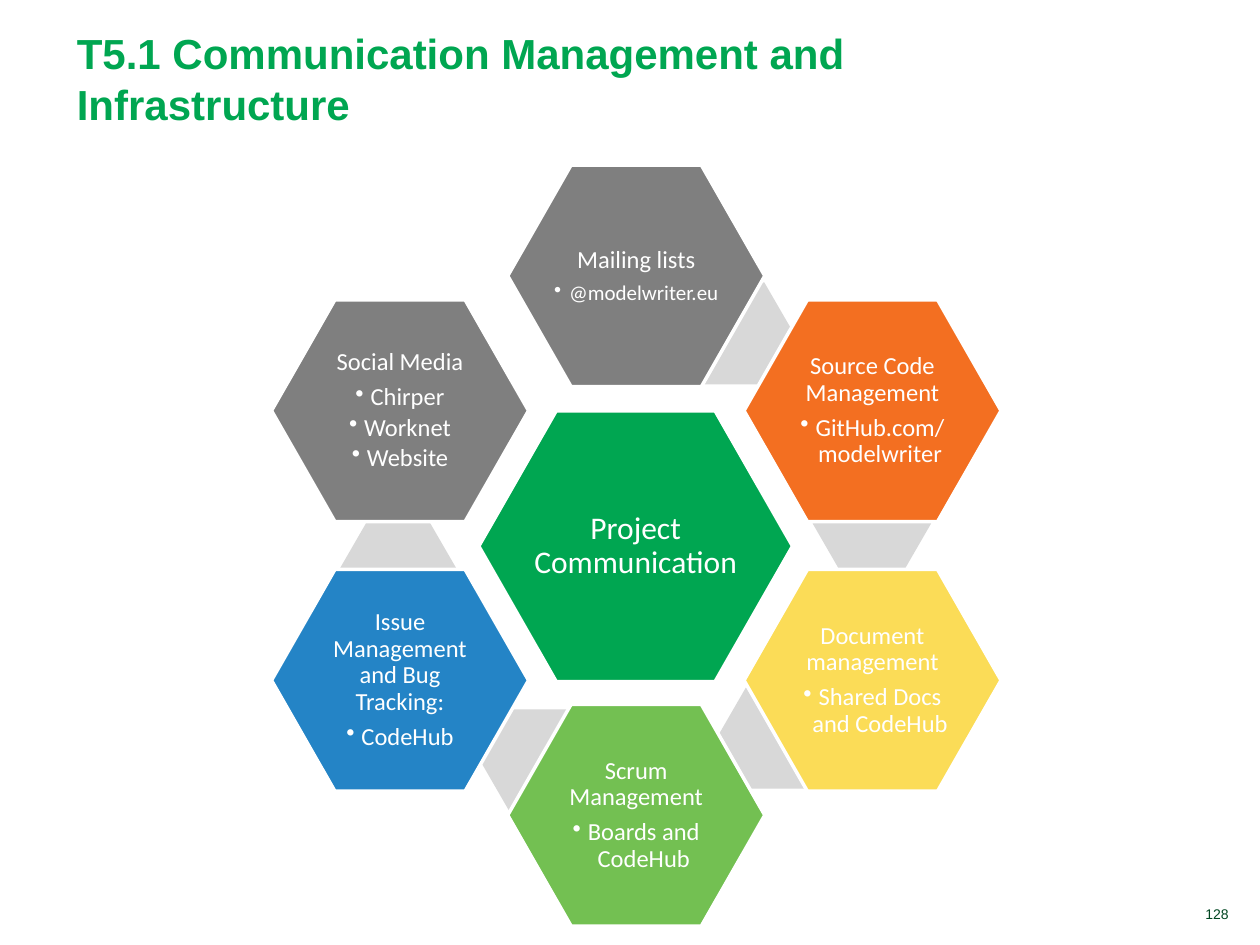
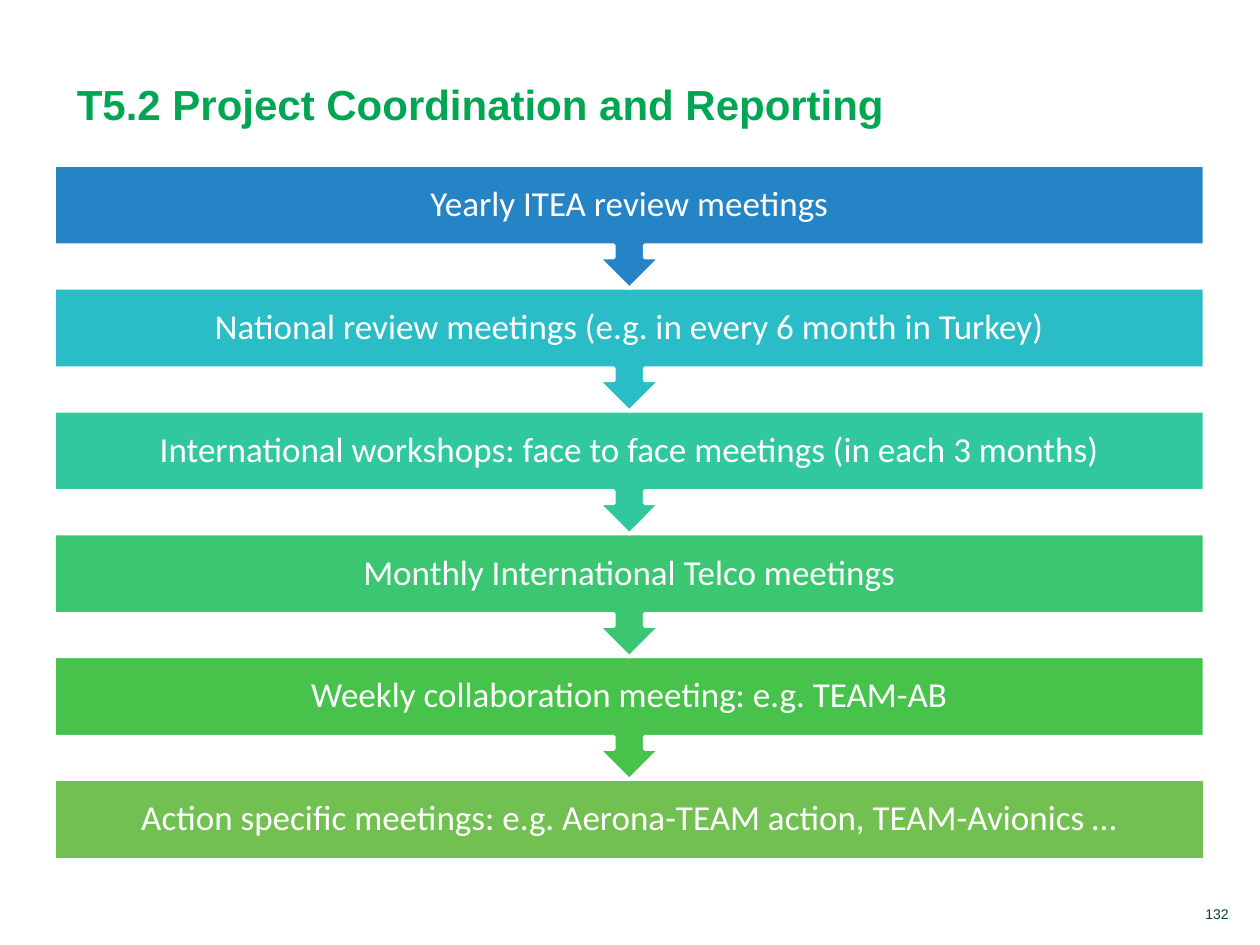
import pptx
import pptx.util
import pptx.dml.color
import pptx.enum.shapes
import pptx.enum.text
import pptx.oxml.ns
import lxml.etree

Inches = pptx.util.Inches
Pt = pptx.util.Pt
RGBColor = pptx.dml.color.RGBColor
Shapes = pptx.enum.shapes.MSO_SHAPE
Align = pptx.enum.text.PP_ALIGN
Anchor = pptx.enum.text.MSO_ANCHOR

GREEN = RGBColor(0x00, 0xA6, 0x51)
DARK_GREEN = RGBColor(0x00, 0x46, 0x21)
WHITE = RGBColor(0xFF, 0xFF, 0xFF)
GREY = RGBColor(0x7F, 0x7F, 0x7F)
LIGHT_GREY = RGBColor(0xD8, 0xD8, 0xD8)
ORANGE = RGBColor(0xF3, 0x6F, 0x21)
YELLOW = RGBColor(0xFB, 0xDC, 0x57)
LEAF = RGBColor(0x73, 0xC0, 0x52)
BLUE = RGBColor(0x24, 0x84, 0xC6)
CYAN = RGBColor(0x2B, 0xBD, 0xC7)
TEAL = RGBColor(0x32, 0xC8, 0x9F)
EMERALD = RGBColor(0x3B, 0xC7, 0x71)
GRASS = RGBColor(0x47, 0xC3, 0x4C)

# Communication channels: column, row, colour, heading, bullets, spoke corner
CHANNELS = [
    (0, -2, GREY, "Mailing lists", ["@modelwriter.eu"], (5.36, 2.24)),
    (1, -1, ORANGE, "Source Code Management", ["GitHub.com/ modelwriter"], (6.45, 3.75)),
    (1, 1, YELLOW, "Document management", ["Shared Docs and CodeHub"], (5.69, 5.45)),
    (0, 2, LEAF, "Scrum Management", ["Boards and CodeHub"], (3.81, 5.63)),
    (-1, 1, BLUE, "Issue Management and Bug Tracking:", ["CodeHub"], (2.69, 4.12)),
    (-1, -1, GREY, "Social Media", ["Chirper", "Worknet", "Website"], None),
]

MEETINGS = [
    ("Yearly ITEA review meetings", BLUE),
    ("National review meetings (e.g. in every 6 month in Turkey)", CYAN),
    ("International workshops: face to face meetings (in each 3 months)", TEAL),
    ("Monthly International Telco meetings", EMERALD),
    ("Weekly collaboration meeting: e.g. TEAM-AB", GRASS),
    ("Action specific meetings: e.g. Aerona-TEAM action, TEAM-Avionics …", LEAF),
]


def write_text(frame, text, *, size, color=WHITE, font="Calibri", bold=False,
               align=Align.CENTER, line=None, after=0, bullet=False):
    """Fill the empty first paragraph of the frame, or add another one."""
    para = frame.paragraphs[0]
    if para.runs:
        para = frame.add_paragraph()
    para.alignment = align
    para.space_before = Pt(0)
    para.space_after = Pt(after)
    if line:
        para.line_spacing = line
    if bullet:
        para.level = 1
        properties = para._p.get_or_add_pPr()
        properties.set("marL", str(Inches(0.12)))
        properties.set("indent", str(-Inches(0.12)))
        mark = lxml.etree.SubElement(properties, pptx.oxml.ns.qn("a:buChar"))
        mark.set("char", "•")
    span = para.add_run()
    span.text = text
    span.font.name = font
    span.font.size = Pt(size)
    span.font.bold = bold
    span.font.color.rgb = color


class Builder:
    def __init__(self):
        self.deck = pptx.Presentation()
        self.deck.slide_width = Inches(10)
        self.deck.slide_height = Inches(7.5)
        self.page = None

    def new_page(self, title, number):
        self.page = self.deck.slides.add_slide(self.deck.slide_layouts[5])
        # Title
        box = self.page.shapes.title
        box.left, box.top = Inches(0.51), Inches(0.16)
        box.width, box.height = Inches(6.81), Inches(0.91)
        frame = box.text_frame
        frame.auto_size = pptx.enum.text.MSO_AUTO_SIZE.NONE
        frame.vertical_anchor = Anchor.BOTTOM
        write_text(frame, title, size=24, color=GREEN, font="Arial", bold=True,
                   align=Align.LEFT)
        # Page number
        box = self.page.shapes.add_textbox(Inches(8.54), Inches(7.14), Inches(1.31), Inches(0.23))
        box.text_frame.word_wrap = True
        box.text_frame.vertical_anchor = Anchor.BOTTOM
        write_text(box.text_frame, number, size=8, color=DARK_GREEN, font="Arial",
                   align=Align.RIGHT)

    def shape(self, kind, left, top, width, height, fill, outlined=True, inset=0.02):
        box = self.page.shapes.add_shape(kind, Inches(left), Inches(top),
                                         Inches(width), Inches(height))
        box.shadow.inherit = False
        box.fill.solid()
        box.fill.fore_color.rgb = fill
        if outlined:
            box.line.color.rgb = WHITE
            box.line.width = Pt(2)
        else:
            box.line.fill.background()
        frame = box.text_frame
        frame.word_wrap = True
        frame.vertical_anchor = Anchor.MIDDLE
        frame.margin_left = frame.margin_right = Inches(inset)
        frame.margin_top = frame.margin_bottom = Inches(inset)
        return box

    def hexagon(self, left, top, width, height, fill, adjust=0.286, outlined=True):
        box = self.shape(Shapes.HEXAGON, left, top, width, height, fill, outlined)
        box.adjustments[0] = adjust
        box.adjustments[1] = 1.155
        return box.text_frame

    def step(self, top, text, fill, last):
        kind = Shapes.RECTANGLE if last else Shapes.DOWN_ARROW_CALLOUT
        height = 0.64 if last else 0.98
        box = self.shape(kind, 0.43, top, 9.13, height, fill, inset=0.16)
        write_text(box.text_frame, text, size=20, line=0.9, after=7)


def build_communication(builder):
    builder.new_page("T5.1 Communication Management and Infrastructure", "128")
    # Hub
    center_x, center_y = 5.05, 4.33
    hub = builder.hexagon(3.8, 3.26, 2.49, 2.15, GREEN)
    write_text(hub, "Project Communication", size=18, line=0.9, after=6.3)
    # Ring of channels, each above its grey spoke
    width, height = 2.04, 1.76
    for column, row, color, heading, bullets, spoke in CHANNELS:
        if spoke:
            builder.hexagon(*spoke, 0.94, 0.81, LIGHT_GREY, adjust=0.289, outlined=False)
        left = center_x + 1.875 * column - width / 2
        top = center_y + 1.07 * row - height / 2
        frame = builder.hexagon(left, top, width, height, color)
        write_text(frame, heading, size=14, line=0.9, after=4.9)
        for text in bullets:
            size = 12 if text.startswith("@") else 14
            write_text(frame, text, size=size, line=0.9, after=2.1, bullet=True)


def build_coordination(builder):
    builder.new_page("T5.2 Project Coordination and Reporting", "132")
    # Steps from the bottom up, so each arrow lies over the next bar
    last = len(MEETINGS) - 1
    for index in range(last, -1, -1):
        text, color = MEETINGS[index]
        builder.step(1.31 + 0.975 * index, text, color, index == last)


def main():
    builder = Builder()
    build_communication(builder)
    build_coordination(builder)
    builder.deck.save("out.pptx")


if __name__ == "__main__":
    main()
